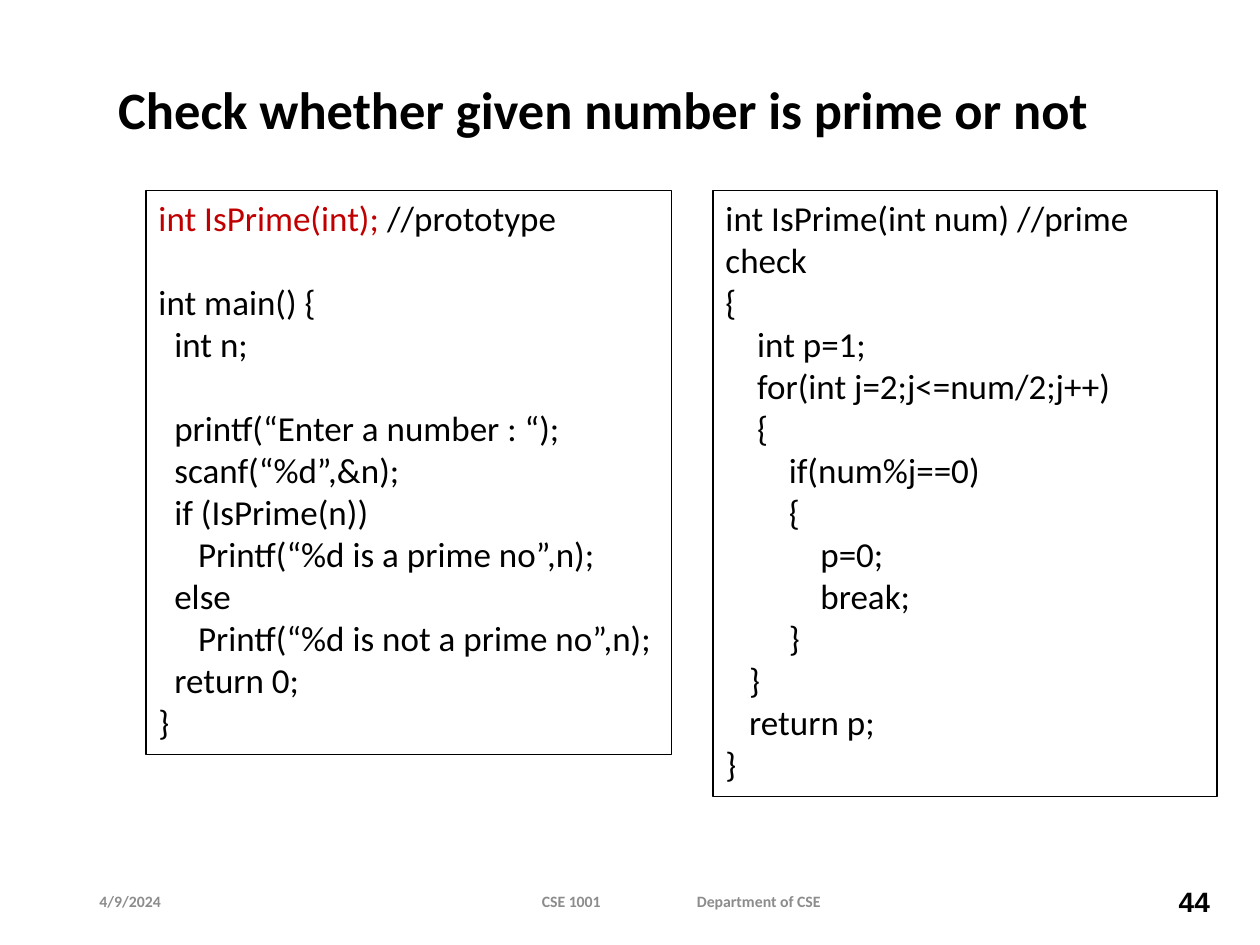
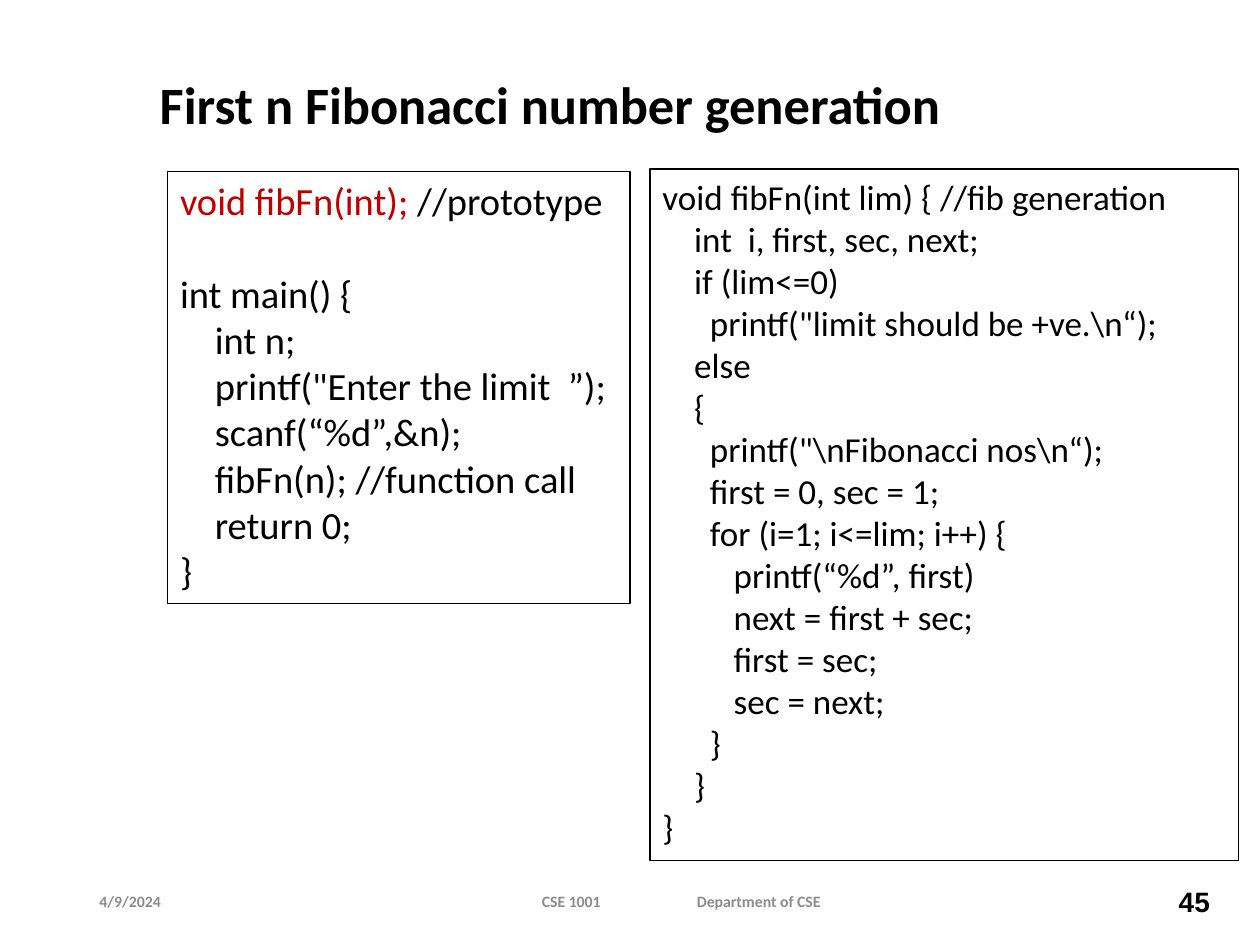
from dataclasses import dataclass

from pptx import Presentation
from pptx.dml.color import RGBColor
from pptx.enum.shapes import MSO_SHAPE
from pptx.enum.text import MSO_ANCHOR as Anchor, MSO_AUTO_SIZE as AutoSize, PP_ALIGN as Align
from pptx.util import Pt


@dataclass(frozen=True)
class Theme:
    black: RGBColor = RGBColor(0, 0, 0)
    gray: RGBColor = RGBColor(0x8C, 0x8C, 0x8C)
    red: RGBColor = RGBColor(0xC0, 0, 0)
    body_font: str = "Calibri"
    number_font: str = "Arial"
    title_size: int = 30
    code_size: int = 20
    large_code_size: int = 22
    footer_size: int = 9
    number_size: int = 16
    border: float = 0.75
    title_spacing: float = 0.9
    line_height: float = 1.2
    space_width: float = 0.226


PRIME_MAIN = """int IsPrime(int); //prototype

int main() {
  int n;

  printf(“Enter a number : “);
  scanf(“%d”,&n);
  if (IsPrime(n))
     Printf(“%d is a prime no”,n);
  else
     Printf(“%d is not a prime no”,n);
  return 0;
}"""

PRIME_FUNCTION = """int IsPrime(int num) //prime check
{
    int p=1;
    for(int j=2;j<=num/2;j++)
    {
        if(num%j==0)
        {
            p=0;
            break;
        }
   }
   return p;
}"""

FIBONACCI_MAIN = """void fibFn(int); //prototype

int main() {
    int n;
    printf("Enter the limit  ”);
    scanf(“%d”,&n);
    fibFn(n); //function call
    return 0;
}"""

FIBONACCI_FUNCTION = r"""void fibFn(int lim) { //fib generation
    int  i, first, sec, next;
    if (lim<=0)
      printf("limit should be +ve.\n“);
    else
    {
      printf("\nFibonacci nos\n“);
      first = 0, sec = 1;
      for (i=1; i<=lim; i++) {
         printf(“%d”, first)
         next = first + sec;
         first = sec;
         sec = next;
      }
    }
}"""


class Deck:
    def __init__(self, theme):
        self.theme = theme
        self.presentation = Presentation()
        self.presentation.slide_width = Pt(720)
        self.presentation.slide_height = Pt(540)
        self.slide = None

    def add_slide(self, number):
        self.slide = self.presentation.slides.add_slide(self.presentation.slide_layouts[6])
        self.footer(number)

    def add_run(self, paragraph, text, size, color, bold=False, name=None):
        run = paragraph.add_run()
        run.text = text
        formats = {"name": name or self.theme.body_font, "size": Pt(size), "bold": bold}
        for attribute, value in formats.items():
            setattr(run.font, attribute, value)
        run.font.color.rgb = color

    def label(self, box, text, size, color, align=Align.LEFT, name=None):
        text_box = self.slide.shapes.add_textbox(*map(Pt, box))
        frame = text_box.text_frame
        formats = {"word_wrap": True, "auto_size": AutoSize.NONE, "vertical_anchor": Anchor.MIDDLE}
        for attribute, value in formats.items():
            setattr(frame, attribute, value)
        paragraph = frame.paragraphs[0]
        paragraph.alignment = align
        self.add_run(paragraph, text, size, color, True, name)
        return paragraph

    def title(self, box, text):
        paragraph = self.label(box, text, self.theme.title_size, self.theme.black)
        paragraph.line_spacing = self.theme.title_spacing

    def footer(self, number):
        theme = self.theme
        top, height = 500.4, 28.8
        for left, width, text in (
            (49.7, 68.4, "4/9/2024"),
            (302.5, 80, "CSE 1001"),
            (391.1, 120, "Department of CSE"),
        ):
            self.label((left, top, width, height), text, theme.footer_size, theme.gray)
        self.label((661.7, top, 36.7, height), str(number), theme.number_size,
                   theme.black, Align.RIGHT, theme.number_font)

    def code(self, box, source, size, prototype=""):
        theme = self.theme
        shape = self.slide.shapes.add_shape(MSO_SHAPE.RECTANGLE, *map(Pt, box))
        shape.shadow.inherit = False
        shape.fill.background()
        shape.line.color.rgb = theme.black
        shape.line.width = Pt(theme.border)
        frame = shape.text_frame
        formats = {"word_wrap": True, "auto_size": AutoSize.SHAPE_TO_FIT_TEXT,
                   "vertical_anchor": Anchor.TOP}
        for attribute, value in formats.items():
            setattr(frame, attribute, value)

        paragraph = frame.paragraphs[0]
        gap = 0
        for index, line in enumerate(source.splitlines()):
            if not line:
                gap += size * theme.line_height
                continue
            if index:
                paragraph = frame.add_paragraph()
            paragraph.alignment = Align.LEFT
            paragraph.space_before = Pt(gap)
            gap = 0
            text = line.lstrip()
            indent = (len(line) - len(text)) * size * theme.space_width
            paragraph._p.get_or_add_pPr().set("marL", str(Pt(indent)))
            if prototype and text.startswith(prototype):
                self.add_run(paragraph, prototype, size, theme.red)
                text = text[len(prototype):]
            self.add_run(paragraph, text, size, theme.black)


def main():
    theme = Theme()
    deck = Deck(theme)

    deck.add_slide(44)
    deck.title((60.5, 37.4, 624.2, 54), "Check whether given number is prime or not")
    deck.code((83.5, 108.7, 300.2, 322.6), PRIME_MAIN, theme.code_size, "int IsPrime(int); ")
    deck.code((407.5, 108.7, 288, 346.3), PRIME_FUNCTION, theme.code_size)

    deck.add_slide(45)
    deck.title((84.2, 34.6, 617.8, 54), "First n Fibonacci number generation")
    deck.code((95.8, 97.9, 264.2, 247), FIBONACCI_MAIN, theme.large_code_size, "void fibFn(int); ")
    deck.code((371.5, 96.5, 336.2, 395.3), FIBONACCI_FUNCTION, theme.code_size)

    deck.presentation.save("out.pptx")


if __name__ == "__main__":
    main()
